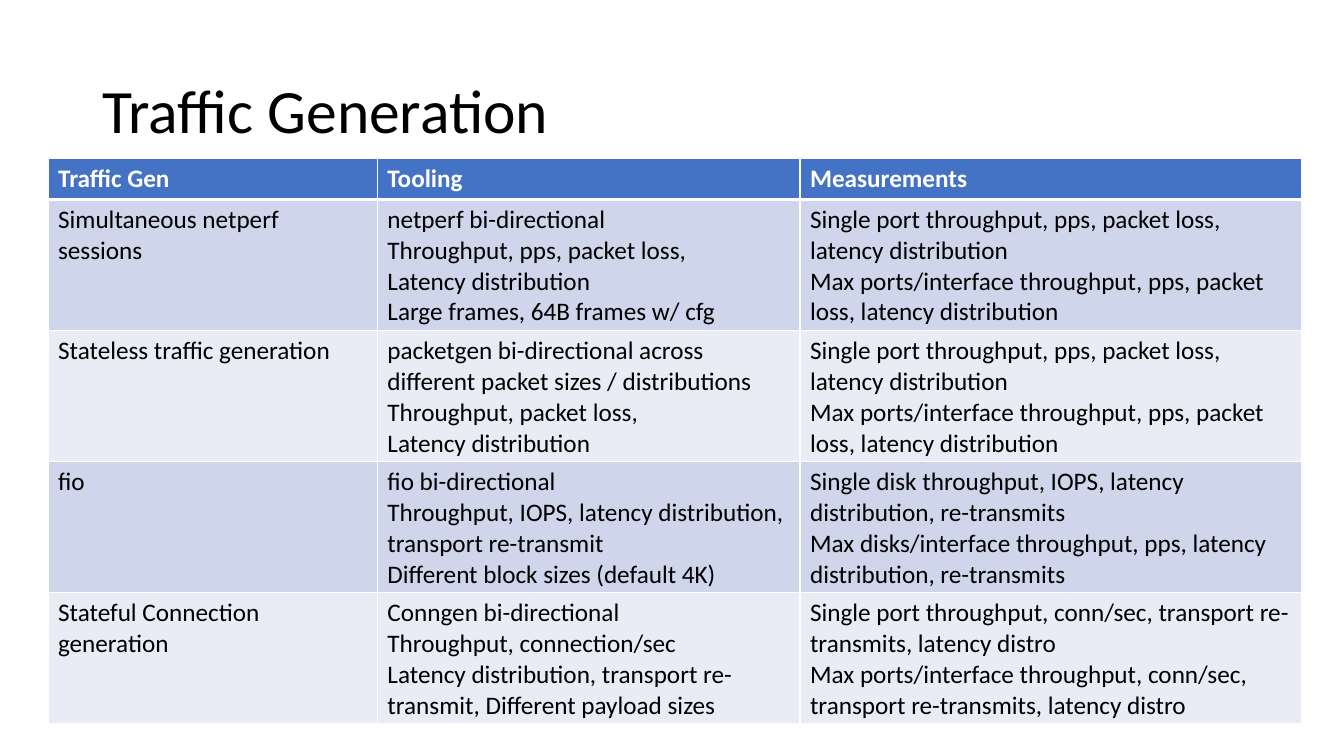
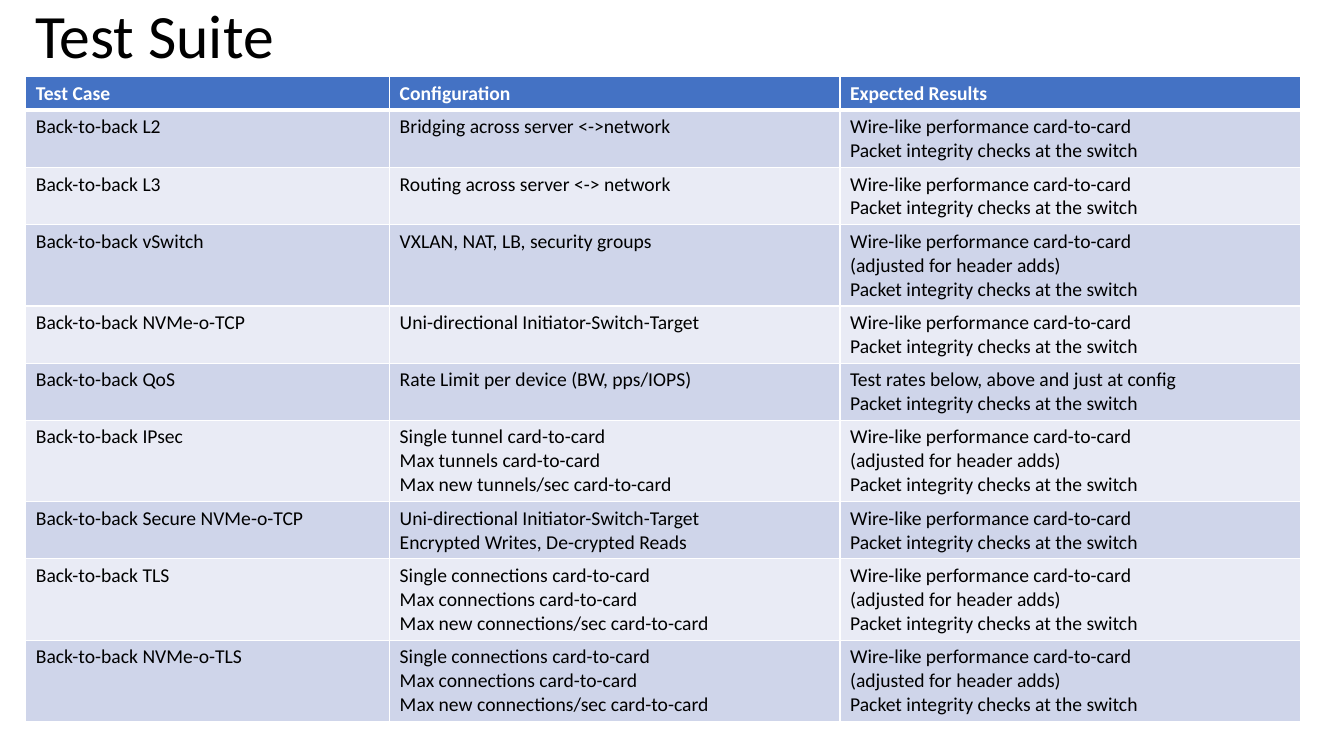
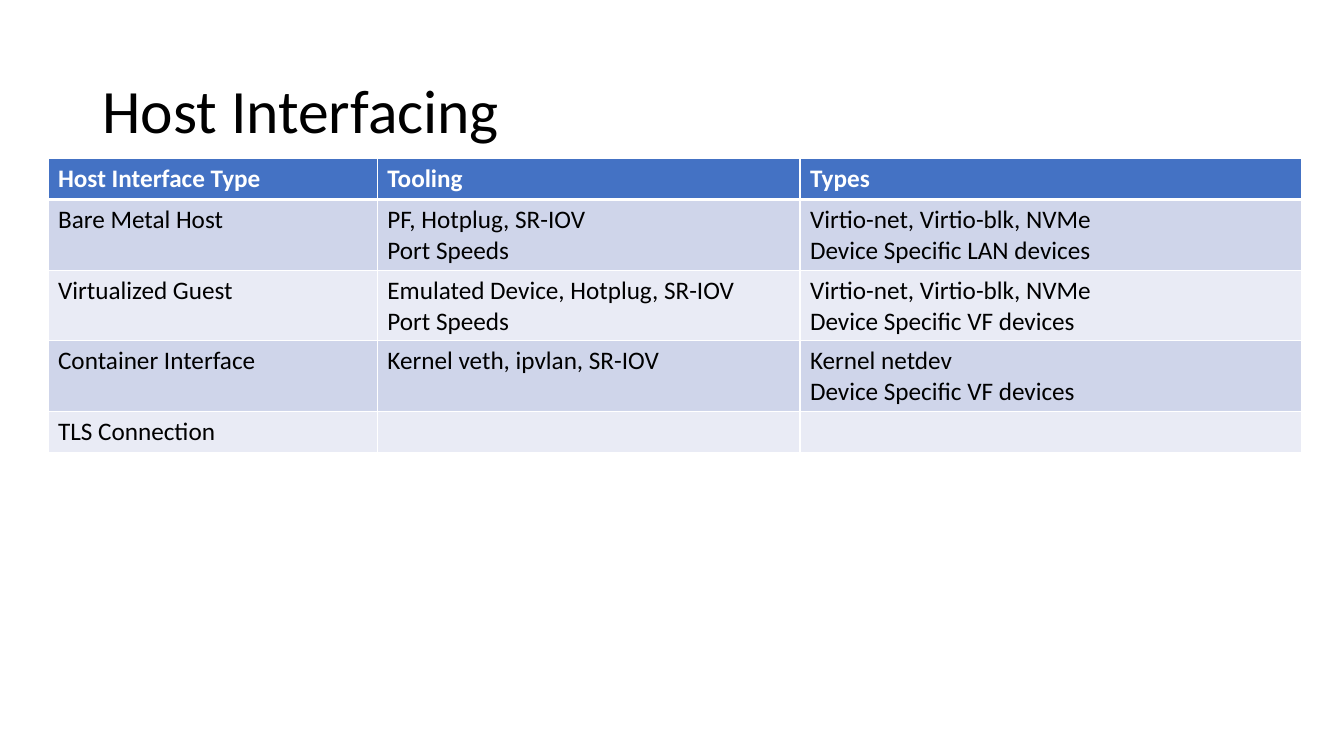
from lxml.etree import SubElement
from pptx import Presentation
from pptx.dml.color import RGBColor
from pptx.enum.text import MSO_ANCHOR
from pptx.oxml.ns import qn
from pptx.util import Cm, Pt

COLORS = {
    "text": "000000",
    "white": "FFFFFF",
    "header": "4472C4",
    "odd": "CFD5EA",
    "even": "E9EBF5",
}


class Deck:
    font = "Calibri"
    title_size = 44

    def __init__(self):
        self.prs = Presentation()
        self.prs.slide_width, self.prs.slide_height = Cm(33.87), Cm(19.05)
        self.s = None

    def color(self, name):
        return RGBColor.from_string(COLORS[name])

    def slide(self):
        self.s = self.prs.slides.add_slide(self.prs.slide_layouts[6])

    def style(self, tf, size, color, bold=False):
        for p in tf.paragraphs:
            for r in p.runs:
                r.font.name, r.font.size, r.font.bold = self.font, Pt(size), bold
                r.font.color.rgb = self.color(color)

    def title(self, text, left=2.33, top=1.01):
        tf = self.s.shapes.add_textbox(Cm(left), Cm(top), Cm(29.21), Cm(3.68)).text_frame
        tf.word_wrap = True
        tf.vertical_anchor = MSO_ANCHOR.MIDDLE
        tf.text = text
        tf.paragraphs[0].line_spacing = 0.9
        self.style(tf, self.title_size, "text")

    def border(self, cell, side, width):
        line = SubElement(cell._tc.get_or_add_tcPr(), qn(f"a:ln{side}"), w=str(Pt(width)))
        fill = SubElement(line, qn("a:solidFill"))
        SubElement(fill, qn("a:srgbClr"), val=COLORS["white"])

    def cell(self, cell, text, row, size):
        header = row == 0
        cell.text = text
        self.style(cell.text_frame, size, "white" if header else "text", header)
        widths = {"L": 1, "R": 1, "T": 3 if row == 1 else 1, "B": 3 if header else 1}
        for side, width in widths.items():
            self.border(cell, side, width)
        cell.fill.solid()
        band = "header" if header else "odd" if row % 2 else "even"
        cell.fill.fore_color.rgb = self.color(band)

    def table(self, rows, heights, left=1.21, top=4, widths=(8.3, 10.65, 12.65), size=18):
        frame = self.s.shapes.add_table(
            len(rows), len(widths), Cm(left), Cm(top), Cm(sum(widths)), Cm(sum(heights)))
        table = frame.table
        for column, width in zip(table.columns, widths):
            column.width = Cm(width)
        for i, (texts, height) in enumerate(zip(rows, heights)):
            table.rows[i].height = Cm(height)
            for j, text in enumerate(texts):
                self.cell(table.cell(i, j), text, i, size)


PORT_RESULTS = (
    "Single port throughput, pps, packet loss, latency distribution\n"
    "Max ports/interface throughput, pps, packet loss, latency distribution")
TRAFFIC = [
    ("Traffic Gen", "Tooling", "Measurements"),
    ("Simultaneous netperf sessions",
     "netperf bi-directional\nThroughput, pps, packet loss,\nLatency distribution\n"
     "Large frames, 64B frames w/ cfg",
     PORT_RESULTS),
    ("Stateless traffic generation",
     "packetgen bi-directional across different packet sizes / distributions\n"
     "Throughput, packet loss,\nLatency distribution",
     PORT_RESULTS),
    ("fio",
     "fio bi-directional\nThroughput, IOPS, latency distribution, transport re-transmit\n"
     "Different block sizes (default 4K)",
     "Single disk throughput, IOPS, latency distribution, re-transmits\n"
     "Max disks/interface throughput, pps, latency distribution, re-transmits"),
    ("Stateful Connection generation",
     "Conngen bi-directional\nThroughput, connection/sec\n"
     "Latency distribution, transport re-transmit, Different payload sizes",
     "Single port throughput, conn/sec, transport re-transmits, latency distro\n"
     "Max ports/interface throughput, conn/sec, transport re-transmits, latency distro"),
]

WIRE = "Wire-like performance card-to-card"
INTEGRITY = "Packet integrity checks at the switch"
PLAIN = f"{WIRE}\n{INTEGRITY}"
ADJUSTED = f"{WIRE}\n(adjusted for header adds)\n{INTEGRITY}"
INITIATOR = "Uni-directional Initiator-Switch-Target"
CONNECTIONS = (
    "Single connections card-to-card\nMax connections card-to-card\n"
    "Max new connections/sec card-to-card")
CASES = [
    ("L2", "Bridging across server <->network", PLAIN),
    ("L3", "Routing across server <-> network", PLAIN),
    ("vSwitch", "VXLAN, NAT, LB, security groups", ADJUSTED),
    ("NVMe-o-TCP", INITIATOR, PLAIN),
    ("QoS", "Rate Limit per device (BW, pps/IOPS)",
     f"Test rates below, above and just at config\n{INTEGRITY}"),
    ("IPsec",
     "Single tunnel card-to-card\nMax tunnels card-to-card\nMax new tunnels/sec card-to-card",
     ADJUSTED),
    ("Secure NVMe-o-TCP", f"{INITIATOR}\nEncrypted Writes, De-crypted Reads", PLAIN),
    ("TLS", CONNECTIONS, ADJUSTED),
    ("NVMe-o-TLS", CONNECTIONS, ADJUSTED),
]
SUITE = [("Test Case", "Configuration", "Expected Results")] + [
    (f"Back-to-back {name}", setup, result) for name, setup, result in CASES]
SUITE_HEIGHTS = [0.78] + [2.05 if result == ADJUSTED else 1.44 for _, _, result in CASES]

HOSTS = [
    ("Host Interface Type", "Tooling", "Types"),
    ("Bare Metal Host", "PF, Hotplug, SR-IOV\nPort Speeds",
     "Virtio-net, Virtio-blk, NVMe\nDevice Specific LAN devices"),
    ("Virtualized Guest", "Emulated Device, Hotplug, SR-IOV\nPort Speeds",
     "Virtio-net, Virtio-blk, NVMe\nDevice Specific VF devices"),
    ("Container Interface", "Kernel veth, ipvlan, SR-IOV",
     "Kernel netdev\nDevice Specific VF devices"),
    ("TLS Connection", "", ""),
]


def main():
    deck = Deck()

    deck.slide()
    deck.title("Traffic Generation")
    deck.table(TRAFFIC, [1.03] + [3.3] * 4)

    deck.slide()
    deck.title("Test Suite", left=0.64, top=-0.86)
    deck.table(SUITE, SUITE_HEIGHTS, left=0.65, top=1.93, widths=(9.17, 11.35, 11.6), size=14)

    deck.slide()
    deck.title("Host Interfacing")
    deck.table(HOSTS, [1.03] + [1.78] * 3 + [1.03])

    deck.prs.save("out.pptx")


if __name__ == "__main__":
    main()
